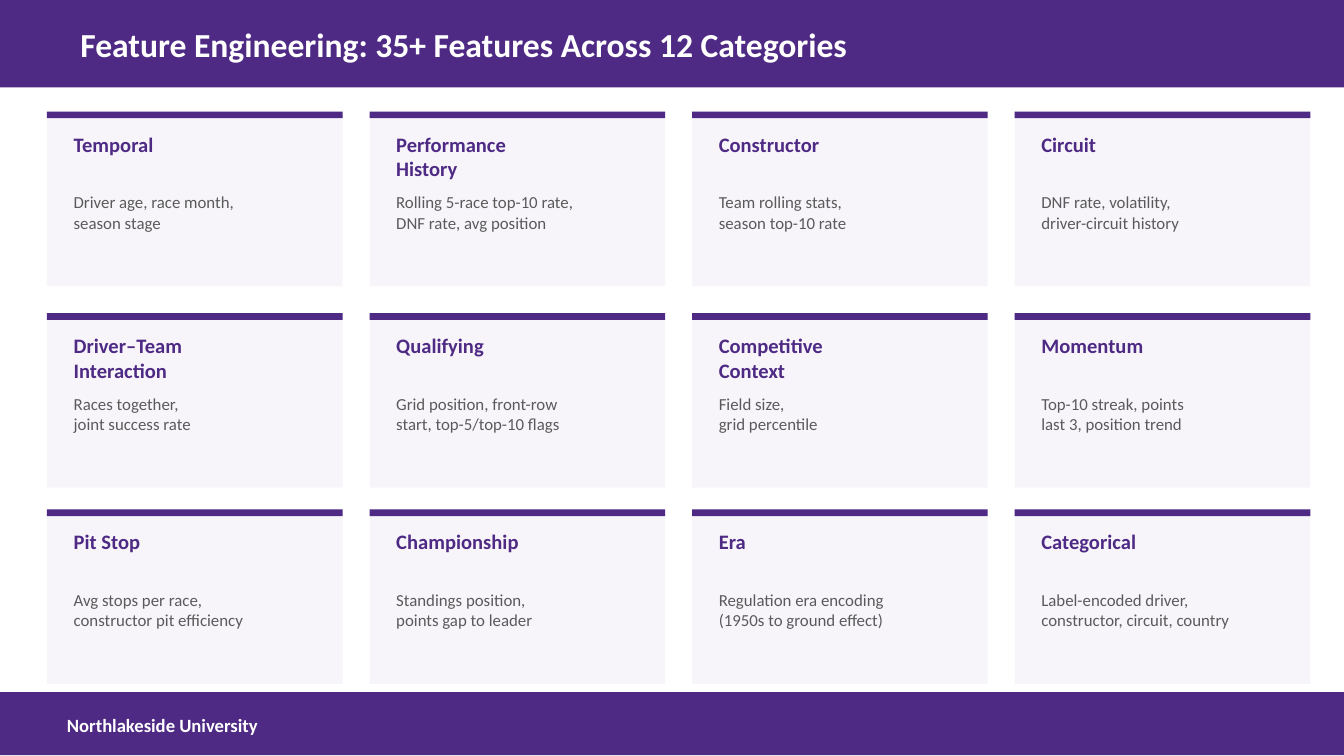
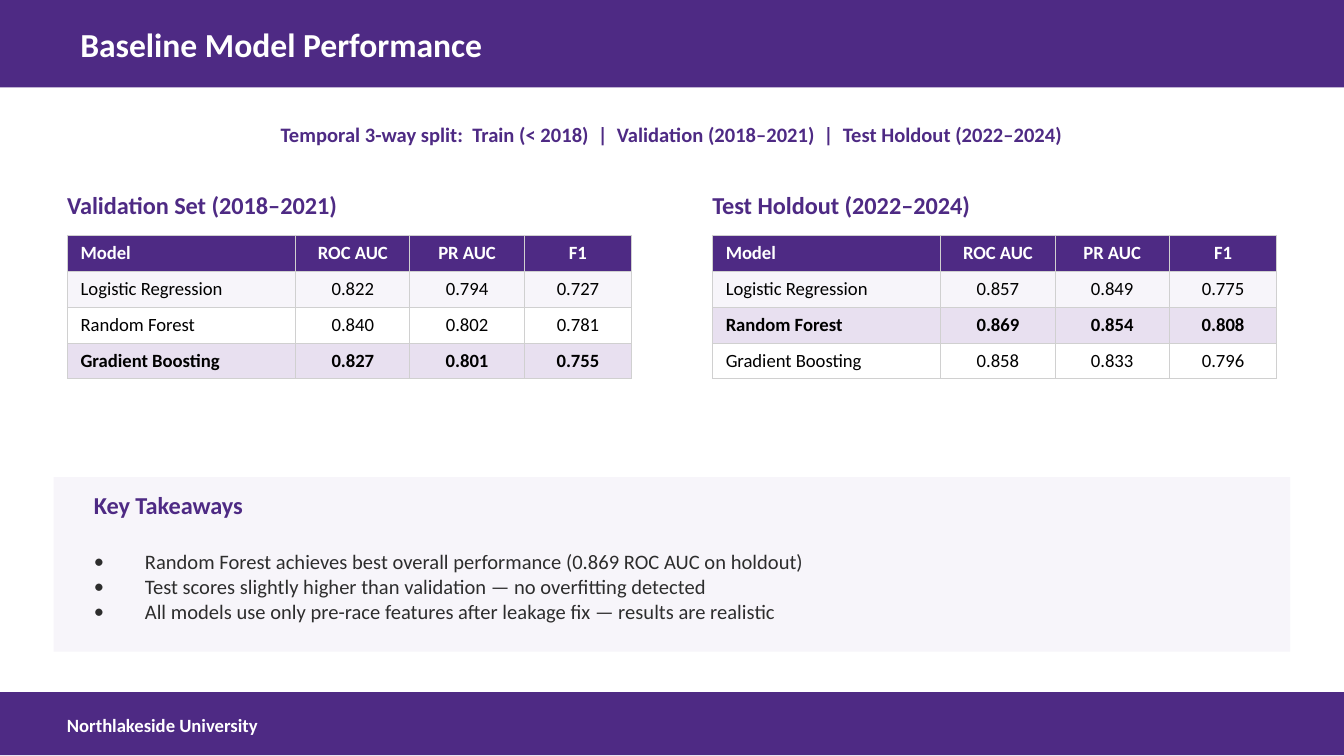
from dataclasses import dataclass
from itertools import product
from typing import NamedTuple

from lxml import etree
from pptx import Presentation
from pptx.dml.color import RGBColor
from pptx.enum.shapes import MSO_SHAPE
from pptx.enum.text import MSO_ANCHOR, PP_ALIGN
from pptx.oxml.ns import qn
from pptx.slide import Slide
from pptx.util import Inches, Pt

RECT = MSO_SHAPE.RECTANGLE
TOP, MIDDLE = MSO_ANCHOR.TOP, MSO_ANCHOR.MIDDLE
LEFT, CENTER = PP_ALIGN.LEFT, PP_ALIGN.CENTER


@dataclass(frozen=True)
class Theme:
    font: str = "Calibri"
    purple: str = "4E2A84"
    pale: str = "F7F5FA"
    lilac: str = "E8E0F0"
    white: str = "FFFFFF"
    black: str = "000000"
    gray: str = "5A5A5A"
    ink: str = "2D2D2D"
    rule: str = "D0D0D0"
    title: int = 18
    head: int = 13
    label: int = 11
    cell: int = 10
    small: int = 9


THEME = Theme()


class Box(NamedTuple):
    x: float
    y: float
    w: float
    h: float

    def emu(self) -> list[int]:
        return [Inches(side) for side in self]


class Style(NamedTuple):
    size: int
    color: str
    bold: bool = True
    align: PP_ALIGN = LEFT


class Card(NamedTuple):
    title: str
    body: str


class Scores(NamedTuple):
    title: str
    x: float
    best: int
    rows: list[tuple[str, ...]]


TITLE = Style(THEME.title, THEME.white)
FOOTER = Style(THEME.cell, THEME.white)
HEAD = Style(THEME.head, THEME.purple)
LABEL = Style(THEME.label, THEME.purple)
SPLIT = LABEL._replace(align=CENTER)
BODY = Style(THEME.small, THEME.gray, False)
POINT = Style(THEME.label, THEME.ink, False)

CARDS = [
    Card("Temporal", "Driver age, race month,\nseason stage"),
    Card("Performance\nHistory", "Rolling 5-race top-10 rate,\nDNF rate, avg position"),
    Card("Constructor", "Team rolling stats,\nseason top-10 rate"),
    Card("Circuit", "DNF rate, volatility,\ndriver-circuit history"),
    Card("Driver–Team\nInteraction", "Races together,\njoint success rate"),
    Card("Qualifying", "Grid position, front-row\nstart, top-5/top-10 flags"),
    Card("Competitive\nContext", "Field size,\ngrid percentile"),
    Card("Momentum", "Top-10 streak, points\nlast 3, position trend"),
    Card("Pit Stop", "Avg stops per race,\nconstructor pit efficiency"),
    Card("Championship", "Standings position,\npoints gap to leader"),
    Card("Era", "Regulation era encoding\n(1950s to ground effect)"),
    Card("Categorical", "Label-encoded driver,\nconstructor, circuit, country"),
]
CARD_TOPS = (0.83, 2.33, 3.79)
CARD_LEFTS = [0.35 + 2.4 * col for col in range(4)]

HEADER = ("Model", "ROC AUC", "PR AUC", "F1")
WIDTHS = (1.7, 0.85, 0.85, 0.8)
TABLES = [
    Scores("Validation Set (2018–2021)", 0.5, 3, [
        ("Logistic Regression", "0.822", "0.794", "0.727"),
        ("Random Forest", "0.840", "0.802", "0.781"),
        ("Gradient Boosting", "0.827", "0.801", "0.755"),
    ]),
    Scores("Test Holdout (2022–2024)", 5.3, 2, [
        ("Logistic Regression", "0.857", "0.849", "0.775"),
        ("Random Forest", "0.869", "0.854", "0.808"),
        ("Gradient Boosting", "0.858", "0.833", "0.796"),
    ]),
]
POINTS = [
    "Random Forest achieves best overall performance (0.869 ROC AUC on holdout)",
    "Test scores slightly higher than validation — no overfitting detected",
    "All models use only pre-race features after leakage fix — results are realistic",
]


def put_line(para, text: str, style: Style) -> None:
    para.alignment = style.align
    run = para.add_run()
    run.text = text
    face = {"name": THEME.font, "size": Pt(style.size), "bold": style.bold}
    for key, value in face.items():
        setattr(run.font, key, value)
    run.font.color.rgb = RGBColor.from_string(style.color)


def add_rect(slide: Slide, box: Box, color: str) -> None:
    shape = slide.shapes.add_shape(RECT, *box.emu())
    shape.shadow.inherit = False
    shape.fill.solid()
    shape.fill.fore_color.rgb = RGBColor.from_string(color)
    shape.line.fill.background()


def add_text(slide: Slide, box: Box, text: str, style: Style,
             anchor: MSO_ANCHOR = TOP, flush: bool = False):
    """Add one paragraph per line of text; flush drops the insets."""
    frame = slide.shapes.add_textbox(*box.emu()).text_frame
    form = {"word_wrap": True, "vertical_anchor": anchor}
    if flush:
        form |= {f"margin_{side}": 0 for side in ("left", "top", "right", "bottom")}
    for key, value in form.items():
        setattr(frame, key, value)
    for i, line in enumerate(text.split("\n")):
        para = frame.add_paragraph() if i else frame.paragraphs[0]
        put_line(para, line, style)
    return frame


def add_bullet(frame, text: str) -> None:
    para = frame.add_paragraph()
    put_line(para, text, POINT)
    props = para._p.get_or_add_pPr()
    indent = Inches(0.38)
    props.set("marL", str(indent))
    props.set("indent", str(-indent))
    etree.SubElement(props, qn("a:buSzPct"), val="100000")
    etree.SubElement(props, qn("a:buFont"), typeface=THEME.font)
    etree.SubElement(props, qn("a:buChar"), char="•")


def add_frame(deck, title: str) -> Slide:
    """Start a slide with its title band and footer band."""
    slide = deck.slides.add_slide(deck.slide_layouts[6])
    add_rect(slide, Box(0, 0, 10, 0.65), THEME.purple)
    add_text(slide, Box(0.5, 0.05, 9, 0.55), title, TITLE, MIDDLE)
    add_rect(slide, Box(0, 5.15, 10, 0.47), THEME.purple)
    add_text(slide, Box(0.4, 5.17, 4, 0.45), "Northlakeside University", FOOTER, MIDDLE)
    return slide


def add_card(slide: Slide, card: Card, x: float, y: float) -> None:
    add_rect(slide, Box(x, y, 2.2, 1.3), THEME.pale)
    add_rect(slide, Box(x, y, 2.2, 0.05), THEME.purple)
    add_text(slide, Box(x + 0.1, y + 0.1, 2, 0.45), card.title, LABEL)
    add_text(slide, Box(x + 0.1, y + 0.55, 2, 0.65), card.body, BODY)


def fill_cell(cell, text: str, style: Style, color: str) -> None:
    props = cell._tc.get_or_add_tcPr()
    for side in ("lnL", "lnR", "lnT", "lnB"):
        line = etree.SubElement(props, qn(f"a:{side}"), w=str(Pt(0.5)))
        solid = etree.SubElement(line, qn("a:solidFill"))
        etree.SubElement(solid, qn("a:srgbClr"), val=THEME.rule)
    cell.fill.solid()
    cell.fill.fore_color.rgb = RGBColor.from_string(color)
    put_line(cell.text_frame.paragraphs[0], text, style)


def add_scores(slide: Slide, scores: Scores) -> None:
    add_text(slide, Box(scores.x, 1.35, 4, 0.35), scores.title, HEAD, MIDDLE, True)
    rows = [HEADER, *scores.rows]
    box = Box(scores.x, 1.75, sum(WIDTHS), 1.07)
    table = slide.shapes.add_table(len(rows), len(HEADER), *box.emu()).table
    for col, width in zip(table.columns, WIDTHS):
        col.width = Inches(width)
    fills = [THEME.purple, THEME.pale, THEME.white, THEME.white]
    fills[scores.best] = THEME.lilac
    for r, row in enumerate(rows):
        color = THEME.black if r else THEME.white
        for c, text in enumerate(row):
            style = Style(THEME.cell, color, r in (0, scores.best), CENTER if c else LEFT)
            fill_cell(table.cell(r, c), text, style, fills[r])


def add_features(deck) -> None:
    slide = add_frame(deck, "Feature Engineering: 35+ Features Across 12 Categories")
    for card, (y, x) in zip(CARDS, product(CARD_TOPS, CARD_LEFTS)):
        add_card(slide, card, x, y)


def add_models(deck) -> None:
    slide = add_frame(deck, "Baseline Model Performance")
    split = "Temporal 3-way split:  Train (< 2018)  |  Validation (2018–2021)  |  Test Holdout (2022–2024)"
    add_text(slide, Box(0.4, 0.8, 9.2, 0.4), split, SPLIT, MIDDLE)
    for scores in TABLES:
        add_scores(slide, scores)
    add_rect(slide, Box(0.4, 3.55, 9.2, 1.3), THEME.pale)
    frame = add_text(slide, Box(0.6, 3.6, 8.8, 1.2), "Key Takeaways", HEAD)
    frame.paragraphs[0].space_after = Pt(16)
    for point in POINTS:
        add_bullet(frame, point)


def main() -> None:
    deck = Presentation()
    deck.slide_width = Inches(10)
    deck.slide_height = Inches(10 * 9 / 16)
    add_features(deck)
    add_models(deck)
    deck.save("out.pptx")


if __name__ == "__main__":
    main()
